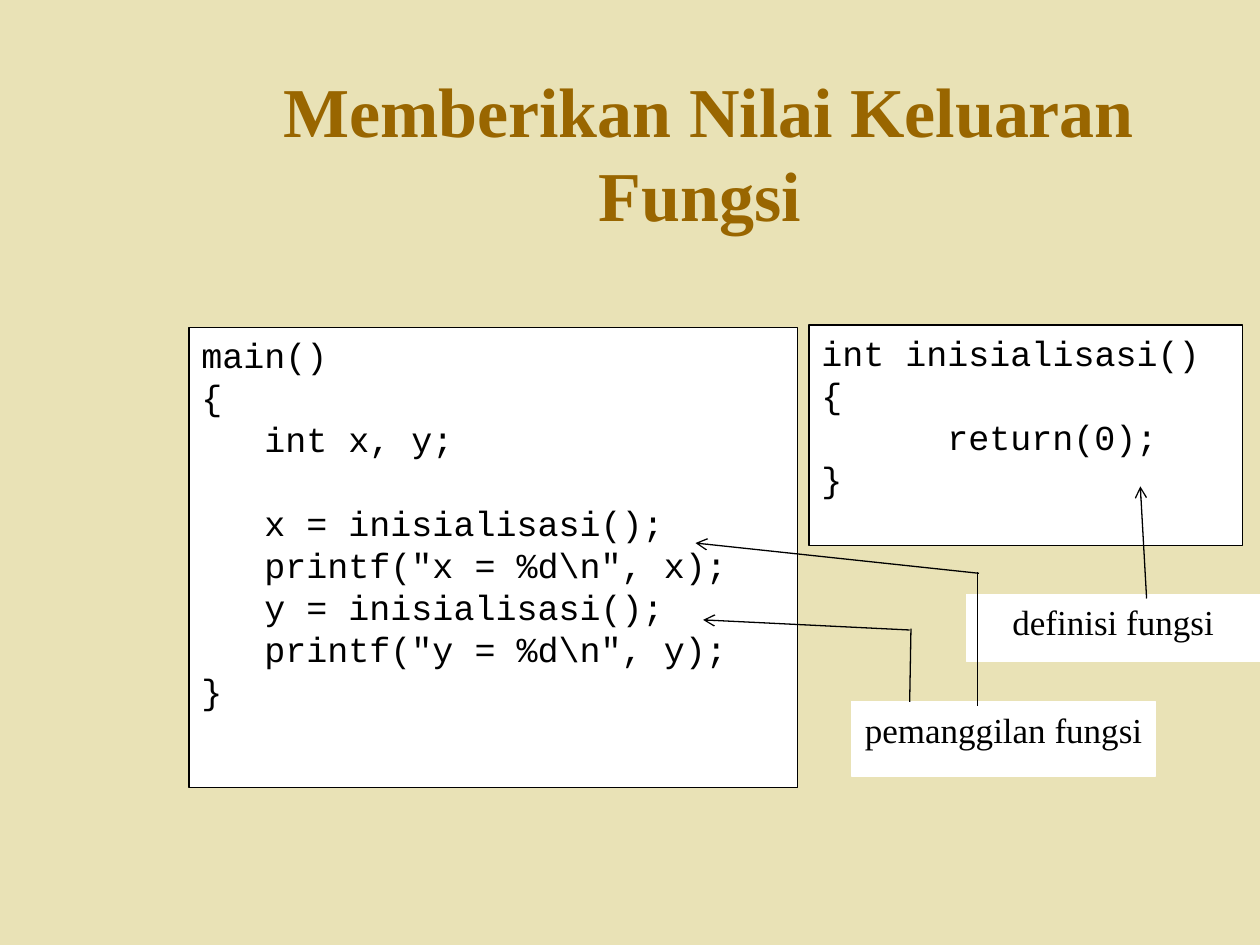
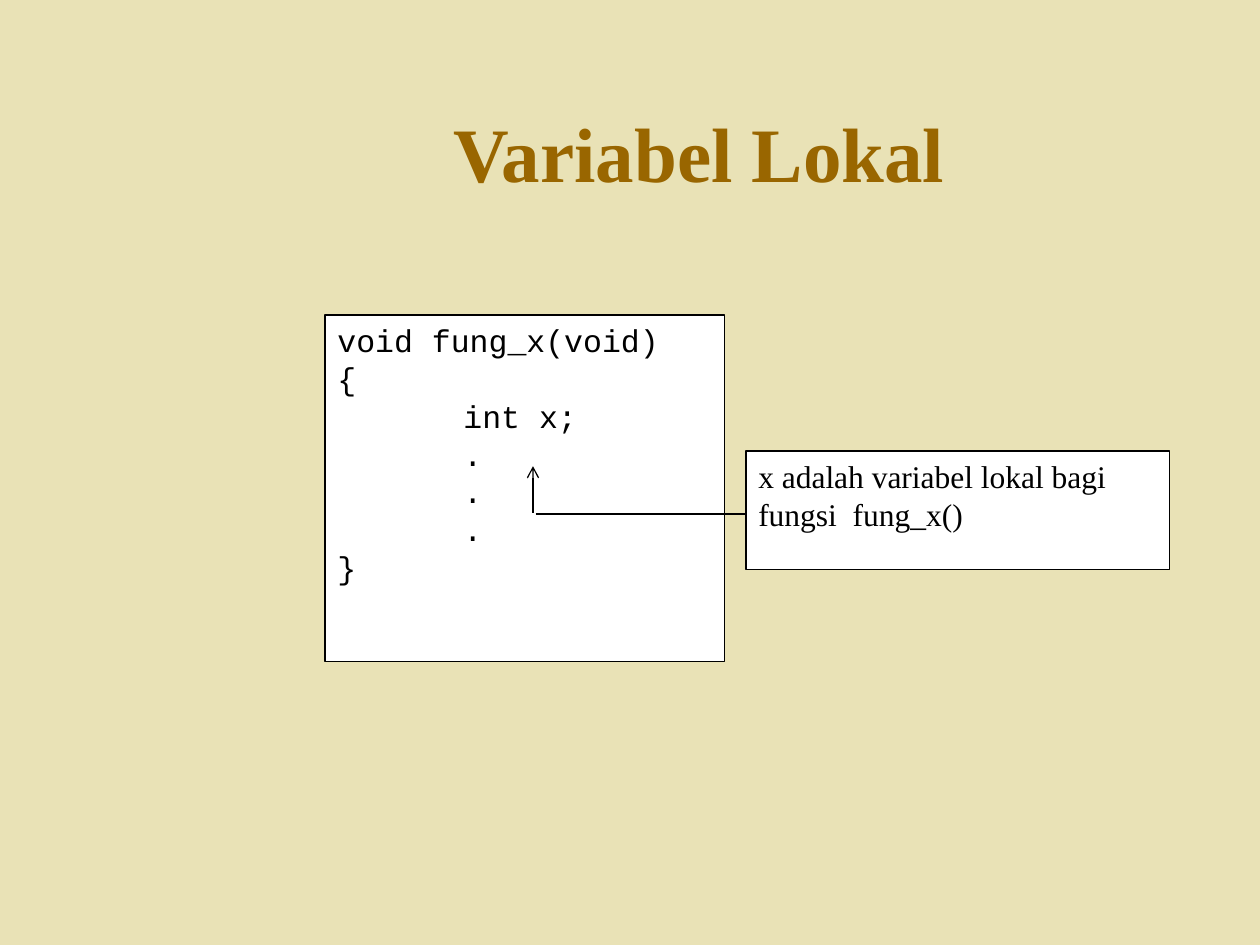
from dataclasses import dataclass

from pptx import Presentation
from pptx.dml.color import RGBColor
from pptx.enum.shapes import MSO_CONNECTOR, MSO_SHAPE
from pptx.enum.text import MSO_ANCHOR, MSO_AUTO_SIZE, PP_ALIGN
from pptx.oxml.ns import qn
from pptx.util import Inches, Pt
from lxml.etree import SubElement


@dataclass(frozen=True)
class Theme:
    sand: RGBColor = RGBColor(0xE9, 0xE2, 0xB6)
    brown: RGBColor = RGBColor(0x99, 0x66, 0x00)
    black: RGBColor = RGBColor(0, 0, 0)
    white: RGBColor = RGBColor(255, 255, 255)
    serif: str = "Times New Roman"
    mono: str = "Courier New"
    rule: float = 0.75
    lead: float = 1.2


THEME = Theme()
TITLE = (1.5, 0.58, 8.25, 1.25)
STEP = 0.5
LEFT, MID = PP_ALIGN.LEFT, PP_ALIGN.CENTER
CODE = dict(font=THEME.mono, edge=THEME.black, align=LEFT)
NOTE = dict(font=THEME.serif, edge=THEME.black, align=LEFT)
LABEL = dict(font=THEME.serif, edge=THEME.white, align=MID)

# Each line of text is (indent steps, text); None leaves a line's gap.
SLIDES = [
    dict(
        title="Memberikan Nilai Keluaran Fungsi ", head=40, size=20,
        boxes=[
            (CODE, (1.5, 2.6, 4.83, 3.65), [
                (0, "main()"),
                (0, "{"),
                (1, "int x, y;"),
                None,
                (1, "x = inisialisasi();"),
                (1, 'printf("x = %d\\n", x);'),
                (1, "y = inisialisasi();"),
                (1, 'printf("y = %d\\n", y);'),
                (0, "}"),
            ]),
            (CODE, (6.42, 2.58, 3.44, 1.75), [
                (0, "int inisialisasi()"),
                (0, "{"),
                (2, "return(0);"),
                (0, "}"),
            ]),
            (LABEL, (6.76, 5.57, 2.41, 0.59), [(0, "pemanggilan fungsi")]),
            (LABEL, (7.67, 4.72, 2.33, 0.53), [(0, "definisi fungsi")]),
        ],
        lines=[
            ((7.76, 5.6), (7.76, 4.54), False),
            ((7.77, 4.55), (5.52, 4.31), True),
            ((7.22, 5.57), (7.23, 4.99), False),
            ((7.22, 5), (5.58, 4.92), True),
            ((9.1, 4.75), (9.05, 3.86), True),
        ],
    ),
    dict(
        title="Variabel Lokal ", head=44, size=18,
        boxes=[
            (CODE, (2.58, 2.5, 3.17, 2.75), [
                (0, "void fung_x(void)"),
                (0, "{"),
                (2, "int x;"),
                (2, "."),
                (2, "."),
                (2, "."),
                (0, "}"),
            ]),
            (NOTE, (5.92, 3.58, 3.36, 0.94), [
                (0, "x adalah variabel lokal bagi fungsi  fung_x()"),
            ]),
        ],
        lines=[
            ((4.25, 4.08), (5.92, 4.08), False),
            ((4.23, 4.07), (4.23, 3.7), True),
        ],
    ),
]


def style(para, font, size, color, align, bold=False):
    para.alignment = align
    para.line_spacing = Pt(size * THEME.lead)
    para.font.name = font
    para.font.size = Pt(size)
    para.font.color.rgb = color
    para.font.bold = bold


def add_title(slide, text, size):
    title = slide.shapes.title
    title.left, title.top, title.width, title.height = map(Inches, TITLE)
    frame = title.text_frame
    frame.text = text
    frame.auto_size = MSO_AUTO_SIZE.NONE
    frame.vertical_anchor = MSO_ANCHOR.MIDDLE
    style(frame.paragraphs[0], THEME.serif, size, THEME.brown, MID, True)


def add_box(slide, kind, place, rows, size):
    box = slide.shapes.add_shape(MSO_SHAPE.RECTANGLE, *map(Inches, place))
    box.shadow.inherit = False
    box.fill.solid()
    box.fill.fore_color.rgb = THEME.white
    box.line.color.rgb = kind["edge"]
    box.line.width = Pt(THEME.rule)
    frame = box.text_frame
    frame.word_wrap = True
    frame.vertical_anchor = MSO_ANCHOR.TOP
    para, gap = frame.paragraphs[0], 0
    for at, row in enumerate(rows):
        if row is None:
            gap += size * THEME.lead
            continue
        if at:
            para = frame.add_paragraph()
        steps, para.text = row
        style(para, kind["font"], size, THEME.black, kind["align"])
        para.space_before = Pt(gap)
        para._p.get_or_add_pPr().set("marL", str(Inches(steps * STEP)))
        gap = 0


def add_line(slide, start, end, arrow):
    line = slide.shapes.add_connector(
        MSO_CONNECTOR.STRAIGHT, *map(Inches, start + end))
    line.line.color.rgb = THEME.black
    line.line.width = Pt(THEME.rule)
    if arrow:
        SubElement(line.line._get_or_add_ln(), qn("a:tailEnd"), type="arrow")
    SubElement(line._element.spPr, qn("a:effectLst"))


def main():
    deck = Presentation()
    deck.slide_width, deck.slide_height = Inches(10), Inches(7.5)
    back = deck.slide_master.background.fill
    back.solid()
    back.fore_color.rgb = THEME.sand
    for page in SLIDES:
        slide = deck.slides.add_slide(deck.slide_layouts[5])
        add_title(slide, page["title"], page["head"])
        for kind, place, rows in page["boxes"]:
            add_box(slide, kind, place, rows, page["size"])
        for start, end, arrow in page["lines"]:
            add_line(slide, start, end, arrow)
    deck.save("out.pptx")


if __name__ == "__main__":
    main()
